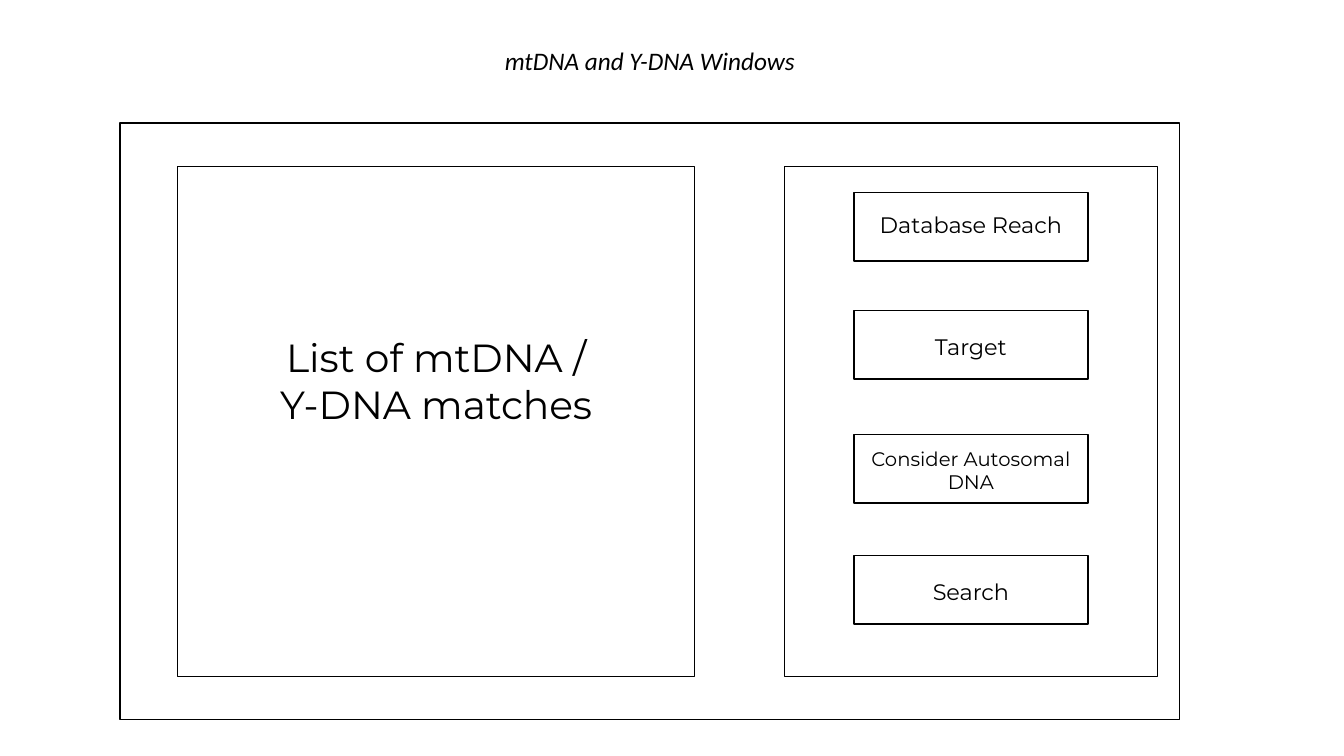
from collections import namedtuple
from dataclasses import dataclass

from pptx import Presentation
from pptx import util as u
from pptx.dml.color import RGBColor
from pptx.enum import shapes, text

COLUMNS, ROWS = 133.3, 75
CELL = u.Inches(0.1)


@dataclass(frozen=True)
class Theme:
    ink: RGBColor = RGBColor(0, 0, 0)
    paper: RGBColor = RGBColor(255, 255, 255)
    outline: u.Pt = u.Pt(1)
    title_font: str = "Calibri"
    body_font: str = "Montserrat"
    title_size: int = 18
    list_size: int = 28
    button_size: int = 16
    small_size: int = 14


THEME = Theme()


class Box(namedtuple("Box", "left top width height")):
    """An area in grid columns and rows."""

    def inner(self, left, top, width, height):
        return Box(self.left + left, self.top + top, width, height)

    def lengths(self):
        return [round(value * CELL) for value in self]


def write_text(shape, wording, size, font=THEME.body_font, italic=False):
    frame = shape.text_frame
    frame_format = {
        "text": wording,
        "word_wrap": True,
        "auto_size": text.MSO_AUTO_SIZE.SHAPE_TO_FIT_TEXT,
        "vertical_anchor": text.MSO_ANCHOR.TOP,
    }
    for name, value in frame_format.items():
        setattr(frame, name, value)
    paragraph = frame.paragraphs[0]
    paragraph.alignment = text.PP_ALIGN.CENTER
    run_font = paragraph.runs[0].font
    font_format = {"name": font, "size": u.Pt(size), "italic": italic, "bold": False}
    for name, value in font_format.items():
        setattr(run_font, name, value)
    run_font.color.rgb = THEME.ink


def add_label(slide, box, wording, size):
    write_text(slide.shapes.add_textbox(*box.lengths()), wording, size)


def add_panel(slide, box):
    panel = slide.shapes.add_shape(shapes.MSO_SHAPE.RECTANGLE, *box.lengths())
    panel.shadow.inherit = False
    panel.fill.solid()
    panel.fill.fore_color.rgb = THEME.paper
    panel.line.color.rgb = THEME.ink
    panel.line.width = THEME.outline


def place_title(slide, box, wording):
    title = slide.shapes.title
    for name, value in zip(box._fields, box.lengths()):
        setattr(title, name, value)
    write_text(title, wording, THEME.title_size, THEME.title_font, italic=True)


def add_search_options(slide, box):
    """Panel with one button per option; each row gives the button and label tops."""
    options = [
        ("Database Reach", 2.6, 4.0, 3.7, THEME.button_size),
        ("Target", 14.3, 16.1, 3.7, THEME.button_size),
        ("Consider Autosomal DNA", 26.6, 27.3, 5.7, THEME.small_size),
        ("Search", 38.6, 40.4, 3.7, THEME.button_size),
    ]
    add_panel(slide, box)
    for wording, button_top, label_top, label_height, size in options:
        add_panel(slide, box.inner(6.9, button_top, 23.2, 6.8))
        add_label(slide, box.inner(6.8, label_top, 23.4, label_height), wording, size)


def add_match_list(slide, box):
    add_panel(slide, box)
    add_label(slide, box.inner(8.4, 16.1, 34.5, 15.1),
              "List of mtDNA / Y-DNA matches", THEME.list_size)


def add_window(slide, box):
    add_panel(slide, box)
    add_search_options(slide, box.inner(65.9, 4.3, 37, 50.6))
    add_match_list(slide, box.inner(5.7, 4.3, 51.3, 50.6))


def main():
    presentation = Presentation()
    presentation.slide_width = round(COLUMNS * CELL)
    presentation.slide_height = ROWS * CELL
    title_only = presentation.slide_layouts.get_by_name("Title Only")
    slide = presentation.slides.add_slide(title_only)
    place_title(slide, Box(34.5, 4, 59.9, 4), "mtDNA and Y-DNA Windows")
    add_window(slide, Box(11.9, 12.2, 105.1, 59.2))
    presentation.save("out.pptx")


if __name__ == "__main__":
    main()
